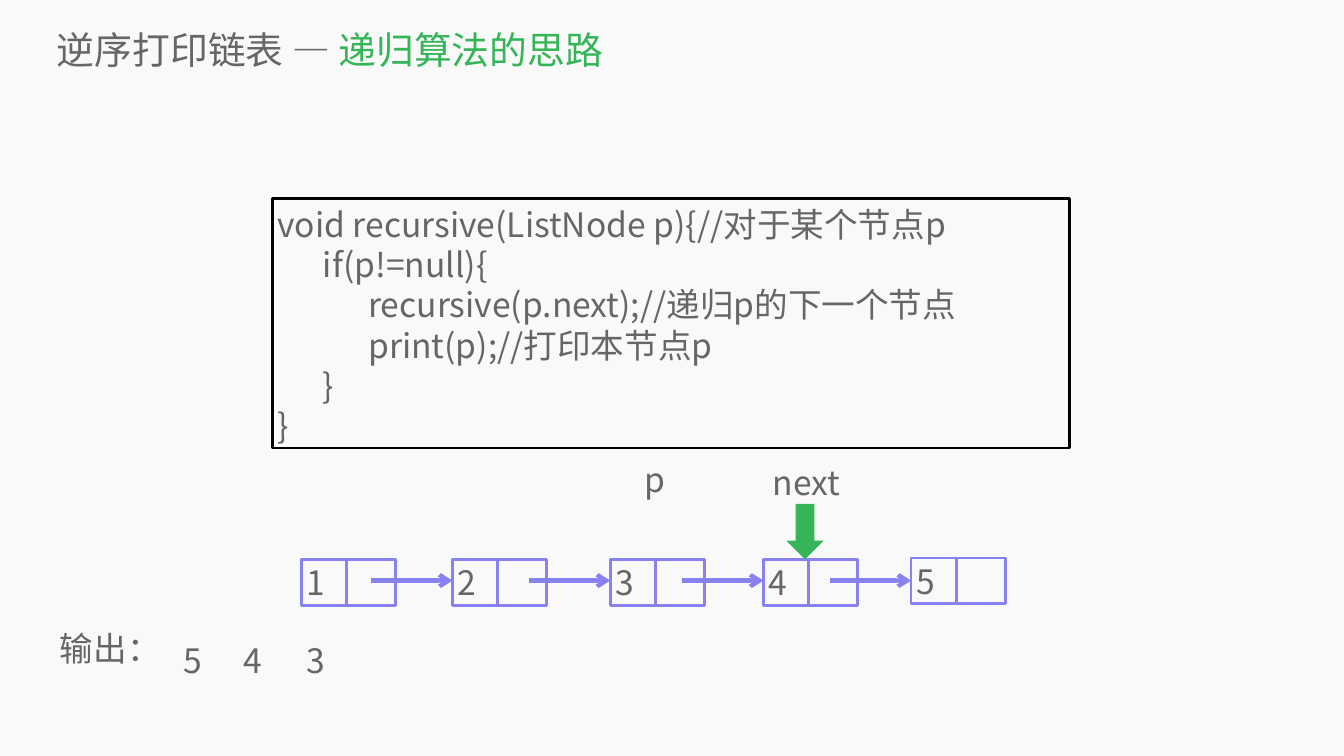
from typing import NamedTuple

from lxml import etree
from pptx import Presentation
from pptx.dml.color import RGBColor
from pptx.enum.shapes import MSO_CONNECTOR, MSO_SHAPE
from pptx.enum.text import MSO_ANCHOR, MSO_AUTO_SIZE, PP_ALIGN
from pptx.oxml.ns import qn
from pptx.util import Inches, Pt

RECTANGLE, DOWN_ARROW = MSO_SHAPE.RECTANGLE, MSO_SHAPE.DOWN_ARROW
STRAIGHT = MSO_CONNECTOR.STRAIGHT
MIDDLE, LEFT, NO_FIT = MSO_ANCHOR.MIDDLE, PP_ALIGN.LEFT, MSO_AUTO_SIZE.NONE

FONT = "Noto Sans CJK SC"
PAPER = RGBColor(0xF9, 0xF9, 0xF9)
GREY = RGBColor(0x66, 0x66, 0x66)
GREEN = RGBColor(0x35, 0xB5, 0x58)
VIOLET = RGBColor(0x88, 0x81, 0xF0)
BLACK = RGBColor(0, 0, 0)

VALUE_WIDTH, POINTER_WIDTH, ROW_HEIGHT = 0.9, 0.97, 0.91
LINK_LENGTH, LINK_Y = 1.61, 11.52
TAB_STEP = 0.9

CODE = [
    "void recursive(ListNode p){//对于某个节点p",
    "\tif(p!=null){",
    "\t\trecursive(p.next);//递归p的下一个节点",
    "\t\tprint(p);//打印本节点p",
    "\t}",
    "}",
]


class Node(NamedTuple):
    value: str
    left: float
    top: float = 11.1


class Label(NamedTuple):
    text: str
    left: float
    top: float
    width: float


NODES = [Node("1", 5.98), Node("2", 8.98), Node("3", 12.11),
         Node("4", 15.15), Node("5", 18.08, 11.07)]
POINTERS = [Label("p", 12.69, 9.06, 0.97), Label("next", 15.24, 9.1, 1.62)]
OUTPUTS = [Label("5", 3.55, 12.65, 0.73), Label("4", 4.73, 12.65, 0.73),
           Label("3", 5.98, 12.65, 0.73)]


def add_span(para, text: str, *, size: float = 48, color: RGBColor = GREY) -> None:
    span = para.add_run()
    span.text = text
    span.font.size, span.font.name = Pt(size), FONT
    span.font.color.rgb = color
    etree.SubElement(span.font._element, qn("a:ea"), typeface=FONT)


def prepare_frame(box, margin: float | None = None):
    frame = box.text_frame
    frame.word_wrap, frame.auto_size = True, NO_FIT
    frame.vertical_anchor = MIDDLE
    frame.paragraphs[0].alignment = LEFT
    if margin is not None:
        frame.margin_left = frame.margin_right = Inches(margin)
        frame.margin_top = frame.margin_bottom = Inches(margin)
    return frame


def place(box, left: float, top: float, width: float, height: float) -> None:
    box.left, box.top = Inches(left), Inches(top)
    box.width, box.height = Inches(width), Inches(height)


def add_outline(shapes, left: float, top: float, width: float, height: float,
                color: RGBColor):
    box = shapes.add_shape(RECTANGLE, Inches(left), Inches(top),
                           Inches(width), Inches(height))
    box.shadow.inherit = False
    box.fill.background()
    box.line.color.rgb, box.line.width = color, Pt(4)
    return box


def add_code(shapes) -> None:
    frame = prepare_frame(add_outline(shapes, 5.41, 3.94, 15.82, 4.95, BLACK))
    frame.margin_top = Inches(0.1)
    for index, line in enumerate(CODE):
        para = frame.add_paragraph() if index else frame.paragraphs[0]
        para.alignment, para.line_spacing = LEFT, Pt(57.6)
        stops = etree.SubElement(para._p.get_or_add_pPr(), qn("a:tabLst"))
        for step in (1, 2):
            etree.SubElement(stops, qn("a:tab"), algn="l",
                             pos=str(Inches(TAB_STEP * step)))
        add_span(para, line)


def add_node(shapes, node: Node) -> None:
    value = add_outline(shapes, node.left, node.top, VALUE_WIDTH, ROW_HEIGHT, VIOLET)
    add_span(prepare_frame(value).paragraphs[0], node.value)
    add_outline(shapes, node.left + VALUE_WIDTH, node.top, POINTER_WIDTH,
                ROW_HEIGHT, VIOLET)


def add_link(shapes, end: float) -> None:
    link = shapes.add_connector(STRAIGHT, Inches(end - LINK_LENGTH), Inches(LINK_Y),
                                Inches(end), Inches(LINK_Y))
    link.line.color.rgb, link.line.width = VIOLET, Pt(6)
    etree.SubElement(link.line._get_or_add_ln(), qn("a:tailEnd"), type="arrow")
    etree.SubElement(link._element.spPr, qn("a:effectLst"))


def add_label(shapes, label: Label) -> None:
    box = shapes.add_textbox(Inches(label.left), Inches(label.top),
                             Inches(label.width), Inches(ROW_HEIGHT))
    add_span(prepare_frame(box).paragraphs[0], label.text)


def main() -> None:
    deck = Presentation()
    deck.slide_width, deck.slide_height = Inches(26.67), Inches(15)
    page = deck.slides.add_slide(deck.slide_layouts[0])
    page.background.fill.solid()
    page.background.fill.fore_color.rgb = PAPER

    # Title and output heading
    title, output = page.placeholders
    place(title, 1.13, 0.47, 25.16, 1.02)
    para = prepare_frame(title, 0).paragraphs[0]
    add_span(para, "逆序打印链表 — ", size=54)
    add_span(para, "递归算法的思路", size=54, color=GREEN)
    place(output, 1.19, 12.4, 2.3, ROW_HEIGHT)
    add_span(prepare_frame(output, 0).paragraphs[0], "输出：")

    # Recursive function
    add_code(page.shapes)

    # Linked list
    chain = page.shapes.add_group_shape().shapes
    for node in NODES:
        add_node(chain, node)
    for node in NODES[1:]:
        add_link(chain, node.left)

    # Pointers and printed values
    arrow = page.shapes.add_shape(DOWN_ARROW, Inches(15.6), Inches(10),
                                  Inches(0.75), Inches(1.1))
    arrow.shadow.inherit = False
    arrow.fill.solid()
    arrow.fill.fore_color.rgb = GREEN
    arrow.line.fill.background()
    for label in POINTERS + OUTPUTS:
        add_label(page.shapes, label)

    deck.save("out.pptx")


if __name__ == "__main__":
    main()
